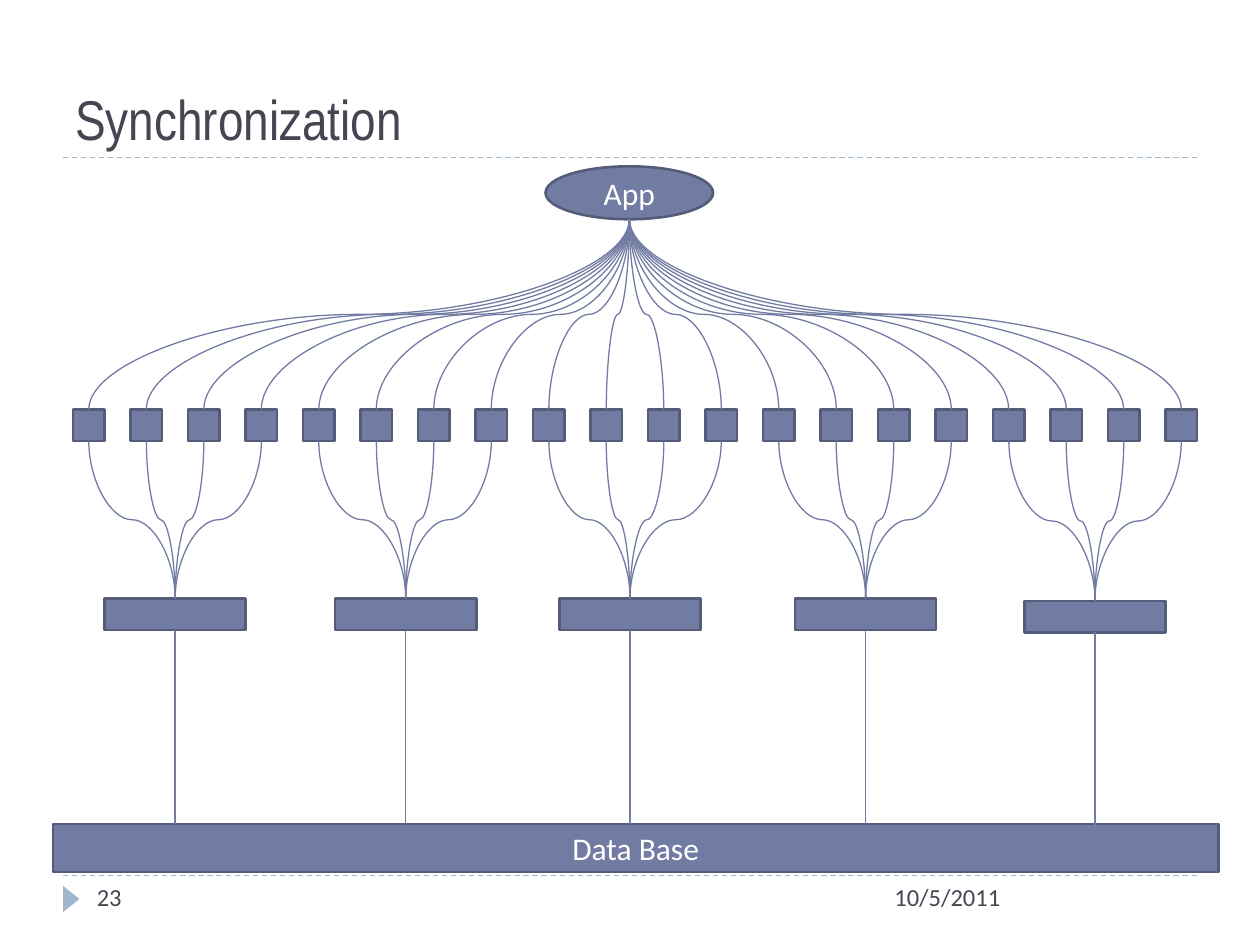
from lxml import etree
from pptx import Presentation
from pptx.dml.color import RGBColor
from pptx.enum.dml import MSO_LINE
from pptx.enum.shapes import MSO_CONNECTOR, MSO_SHAPE
from pptx.enum.text import MSO_ANCHOR, PP_ALIGN
from pptx.oxml.ns import qn
from pptx.util import Inches, Pt

RECT, OVAL, TRIANGLE = MSO_SHAPE.RECTANGLE, MSO_SHAPE.OVAL, MSO_SHAPE.ISOSCELES_TRIANGLE
STRAIGHT, CURVE = MSO_CONNECTOR.STRAIGHT, MSO_CONNECTOR.CURVE
TOP_SIDE, BOTTOM_SIDE = 0, 2

FILL, BORDER, ACCENT, DARK, WHITE = "727CA3", "545C79", "9FB8CD", "464653", "FFFFFF"

# text, left, top, width, height, size, font, anchor
LABELS = [
    ("Synchronization", 0.5, 0.17, 9, 1.08, 32, "Arial Narrow", MSO_ANCHOR.BOTTOM),
    ("10/5/2011", 7, 6.95, 2.5, 0.4, 14, "Calibri", MSO_ANCHOR.TOP),
    ("23", 0.67, 6.95, 2.17, 0.4, 14, "Calibri", MSO_ANCHOR.TOP),
]
RULES_Y = [6.95, 1.25]
APP = ("App", 4.33, 1.32, 1.33, 0.42)
DATABASE = ("Data Base", 0.42, 6.54, 9.25, 0.38)

WORKER_COUNT, WORKER_SIZE, WORKER_TOP = 20, 0.25, 3.25
FIRST_WORKER, LAST_WORKER = 0.58, 9.25
SERVERS = [(0.83, 4.75), (2.66, 4.75), (4.44, 4.75), (6.31, 4.75), (8.13, 4.77)]
SERVER_WIDTH, SERVER_HEIGHT = 1.12, 0.25
DATABASE_LINK = 1.54
WORKERS_PER_SERVER = WORKER_COUNT // len(SERVERS)


def rgb(value):
    return RGBColor.from_string(value)


def write(shape, text, size, font, color, anchor, align):
    frame = shape.text_frame
    frame.word_wrap = True
    frame.vertical_anchor = anchor
    paragraph = frame.paragraphs[0]
    paragraph.text = text
    paragraph.alignment = align
    paragraph.font.size = Pt(size)
    paragraph.font.name = font
    paragraph.font.color.rgb = rgb(color)


def add_node(slide, kind, left, top, width, height, text=None):
    node = slide.shapes.add_shape(kind, *map(Inches, (left, top, width, height)))
    node.shadow.inherit = False
    node.fill.solid()
    node.fill.fore_color.rgb = rgb(FILL)
    node.line.color.rgb = rgb(BORDER)
    node.line.width = Pt(1.5)
    if text:
        write(node, text, 18, "Calibri", WHITE, MSO_ANCHOR.MIDDLE, PP_ALIGN.CENTER)
    return node


def add_line(slide, kind, x1, y1, x2, y2, color=FILL):
    line = slide.shapes.add_connector(kind, *map(int, (x1, y1, x2, y2)))
    line.line.color.rgb = rgb(color)
    line.line.width = Pt(0.75)
    etree.SubElement(line.element.spPr, qn("a:effectLst"))
    return line


def bottom_center(shape):
    return shape.left + shape.width // 2, shape.top + shape.height


def add_vertical_curve(slide, upper, lower):
    """Leave the upper node downwards and enter the lower node from above."""
    x1, y1 = bottom_center(upper)
    x2, y2 = lower.left + lower.width // 2, lower.top
    curve = add_line(slide, CURVE, x1, y1, x2, y2)
    if upper.auto_shape_type == RECT:
        curve.begin_connect(upper, BOTTOM_SIDE)
    curve.end_connect(lower, TOP_SIDE)
    # The frame is stored unrotated: its width is the drop, its height the sideways run.
    drop, run = y2 - y1, abs(x2 - x1)
    curve.left, curve.top = (x1 + x2 - drop) // 2, (y1 + y2 - run) // 2
    curve.width, curve.height = drop, run
    to_right = x2 > x1
    frame = curve.element.spPr.find(qn("a:xfrm"))
    frame.set("rot", str((270 if to_right else 90) * 60000))
    frame.set("flipH", "1" if to_right else "0")
    frame.set("flipV", "0")


def main():
    prs = Presentation()
    prs.slide_width, prs.slide_height = Inches(10), Inches(7.5)
    slide = prs.slides.add_slide(prs.slide_layouts[6])

    for y in RULES_Y:
        rule = add_line(slide, STRAIGHT, *map(Inches, (0.5, y, 9.5, y)), color=ACCENT)
        rule.line.dash_style = MSO_LINE.DASH
    marker = add_node(slide, TRIANGLE, 0.46, 7.07, 0.21, 0.13)
    marker.rotation = 90
    marker.fill.fore_color.rgb = rgb(ACCENT)
    marker.line.fill.background()

    for text, left, top, width, height, size, font, anchor in LABELS:
        box = slide.shapes.add_textbox(*map(Inches, (left, top, width, height)))
        write(box, text, size, font, DARK, anchor, PP_ALIGN.LEFT)

    app = add_node(slide, OVAL, *APP[1:], text=APP[0])
    pitch = (LAST_WORKER - FIRST_WORKER) / (WORKER_COUNT - 1)
    workers = [
        add_node(slide, RECT, FIRST_WORKER + i * pitch, WORKER_TOP, WORKER_SIZE, WORKER_SIZE)
        for i in range(WORKER_COUNT)
    ]
    for worker in workers:
        add_vertical_curve(slide, app, worker)

    servers = [
        add_node(slide, RECT, left, top, SERVER_WIDTH, SERVER_HEIGHT) for left, top in SERVERS
    ]
    for i, worker in enumerate(workers):
        add_vertical_curve(slide, worker, servers[i // WORKERS_PER_SERVER])

    add_node(slide, RECT, *DATABASE[1:], text=DATABASE[0])
    for server in servers:
        x, y = bottom_center(server)
        link = add_line(slide, STRAIGHT, x, y, x, y + Inches(DATABASE_LINK))
        link.begin_connect(server, BOTTOM_SIDE)

    prs.save("out.pptx")


if __name__ == "__main__":
    main()
